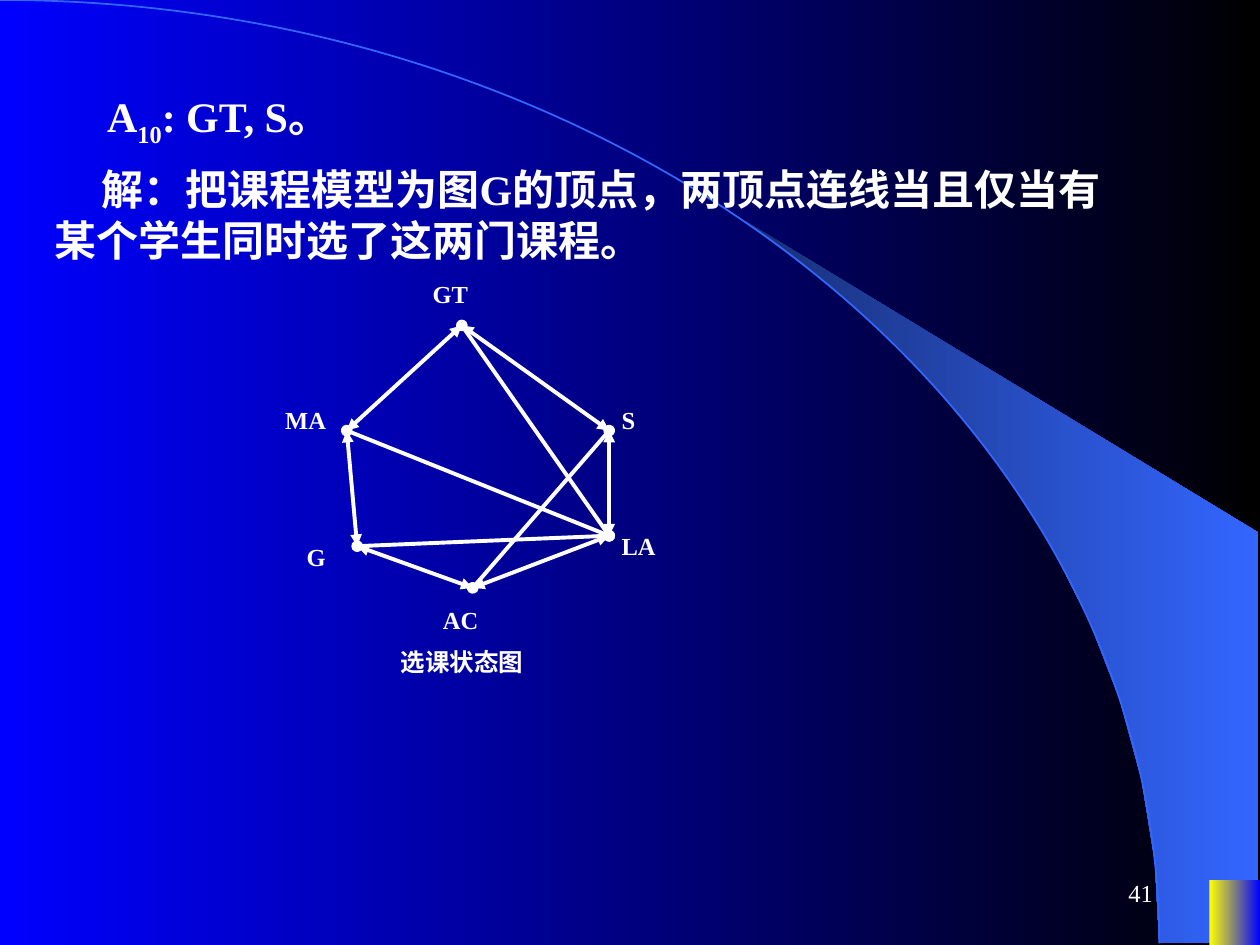
import math

from lxml import etree
from pptx import Presentation
from pptx import util as u
from pptx.dml.color import RGBColor
from pptx.enum import shapes, text
from pptx.oxml import ns

WHITE = RGBColor(0xFF, 0xFF, 0xFF)
BLACK = RGBColor(0x00, 0x00, 0x00)
BLUE = RGBColor(0x00, 0x00, 0xFF)
NAVY = RGBColor(0x18, 0x2F, 0x76)
SKY = RGBColor(0x33, 0x66, 0xFF)
YELLOW = RGBColor(0xFF, 0xFF, 0x00)

ARC_WIDTH, ARC_HEIGHT = 23.37, 19.02
RIGHT_EDGE = 25.37
QUARTER_ARC_HANDLE = 0.55

COURSES = {
    "GT": ((9.31, 6.56), (8.47, 5.5)),
    "MA": ((6.99, 8.68), (5.5, 8.04)),
    "G": ((7.2, 11.01), (5.93, 10.8)),
    "AC": ((9.53, 11.85), (8.68, 12.07)),
    "LA": ((12.28, 10.8), (12.28, 10.58)),
    "S": ((12.28, 8.68), (12.28, 8.04)),
}
CONFLICTS = {
    "triangle": [("GT", "MA"), ("GT", "S"), ("MA", "G"),
                 ("S", "LA"), ("G", "AC"), ("LA", "AC")],
    "oval": [("GT", "LA"), ("MA", "LA"), ("G", "LA"), ("S", "AC")],
}


def arc_points(first_degree, last_degree, step):
    angles = [math.radians(d)
              for d in range(first_degree, last_degree + 1, step)]
    return [(ARC_WIDTH * math.sin(a), ARC_HEIGHT * (1 - math.cos(a)))
            for a in angles]


class Deck:
    font = "Times New Roman"
    color = WHITE

    def __init__(self):
        self.presentation = Presentation()
        self.presentation.slide_width = u.Cm(25.4)
        self.presentation.slide_height = u.Cm(19.05)
        self.slide = self.presentation.slides.add_slide(
            self.presentation.slide_layouts[6])

    def gradient(self, fill, start, end):
        fill.gradient()
        fill.gradient_angle = 0
        for stop, color in zip(fill.gradient_stops, (start, end)):
            stop.color.rgb = color

    def background(self, start, end):
        self.gradient(self.slide.background.fill, start, end)

    def outline(self, points, closed):
        vertices = [(u.Cm(x), u.Cm(y)) for x, y in points]
        builder = self.slide.shapes.build_freeform(*vertices[0])
        builder.add_line_segments(vertices[1:], close=closed)
        shape = builder.convert_to_shape()
        shape.shadow.inherit = False
        return shape

    def quarter_arc(self, width, height, color):
        shape = self.outline([(0, 0), (width, height)], False)
        shape.fill.background()
        shape.line.color.rgb = color
        shape.line.width = u.Pt(1)
        segment = next(shape._element.iter(ns.qn("a:lnTo")))
        bend = etree.Element(ns.qn("a:cubicBezTo"))
        handles = [(width * QUARTER_ARC_HANDLE, 0),
                   (width, height * (1 - QUARTER_ARC_HANDLE)),
                   (width, height)]
        for x, y in handles:
            etree.SubElement(bend, ns.qn("a:pt"),
                             x=str(u.Cm(x)), y=str(u.Cm(y)))
        segment.getparent().replace(segment, bend)

    def area(self, points, start, end):
        shape = self.outline(points, True)
        self.gradient(shape.fill, start, end)
        shape.line.fill.background()

    def block(self, left, top, width, height, start, end):
        shape = self.slide.shapes.add_shape(
            shapes.MSO_SHAPE.RECTANGLE, *map(u.Cm, (left, top, width, height)))
        shape.shadow.inherit = False
        self.gradient(shape.fill, start, end)
        shape.line.fill.background()

    def edge(self, begin, end, tip):
        line = self.slide.shapes.add_connector(
            shapes.MSO_CONNECTOR.STRAIGHT, *map(u.Cm, begin + end))
        line.line.color.rgb = self.color
        line.line.width = u.Pt(2.25)
        stroke = line.line._get_or_add_ln()
        for end_tag in ("a:headEnd", "a:tailEnd"):
            etree.SubElement(stroke, ns.qn(end_tag), type=tip)
        etree.SubElement(line._element.spPr, ns.qn("a:effectLst"))

    def words(self, left, top, width, height, runs, size=14, bold=True,
              align=text.PP_ALIGN.LEFT, anchor=text.MSO_ANCHOR.TOP,
              before=0, indent=0):
        box = self.slide.shapes.add_textbox(
            *map(u.Cm, (left, top, width, height)))
        frame = box.text_frame
        frame.word_wrap = True
        frame.vertical_anchor = anchor
        paragraph = frame.paragraphs[0]
        paragraph.alignment = align
        paragraph.space_before = u.Pt(before)
        paragraph._p.get_or_add_pPr().set("indent", str(u.Cm(indent)))
        for wording, baseline in runs:
            run = paragraph.add_run()
            run.text = wording
            run.font.size = u.Pt(size)
            run.font.bold = bold
            run.font.name = self.font
            run.font.color.rgb = self.color
            if baseline:
                run.font._element.set("baseline", str(baseline * 1000))

    def save(self):
        self.presentation.save("out.pptx")


def main():
    deck = Deck()
    deck.background(BLUE, BLACK)
    deck.area(arc_points(40, 90, 5) + [(RIGHT_EDGE, ARC_HEIGHT),
                                       (RIGHT_EDGE, 10.74)], NAVY, SKY)
    deck.quarter_arc(ARC_WIDTH, ARC_HEIGHT, SKY)
    deck.block(24.38, 17.74, 1.02, 1.31, YELLOW, BLUE)
    deck.words(18.21, 17.37, 5.28, 1.27, [("41", 0)], bold=False,
               align=text.PP_ALIGN.RIGHT, anchor=text.MSO_ANCHOR.MIDDLE)

    deck.words(0.85, 1.7, 21.59, 1.42,
               [("A", 0), ("10", -25), (": GT, S。", 0)],
               size=24, before=15, indent=1.06)
    deck.words(0.85, 3.18, 21.59, 2.29,
               [("解：把课程模型为图G的顶点，两顶点连线当且仅当"
                 "有某个学生同时选了这两门课程。", 0)],
               size=24, before=15, indent=0.95)

    for tip, pairs in CONFLICTS.items():
        for first, second in pairs:
            deck.edge(COURSES[first][0], COURSES[second][0], tip)
    for course, (_, label) in COURSES.items():
        deck.words(*label, 1.73, 0.86, [(course, 0)])
    deck.words(7.83, 12.91, 4.01, 0.86, [("选课状态图", 0)])
    deck.save()


if __name__ == "__main__":
    main()
